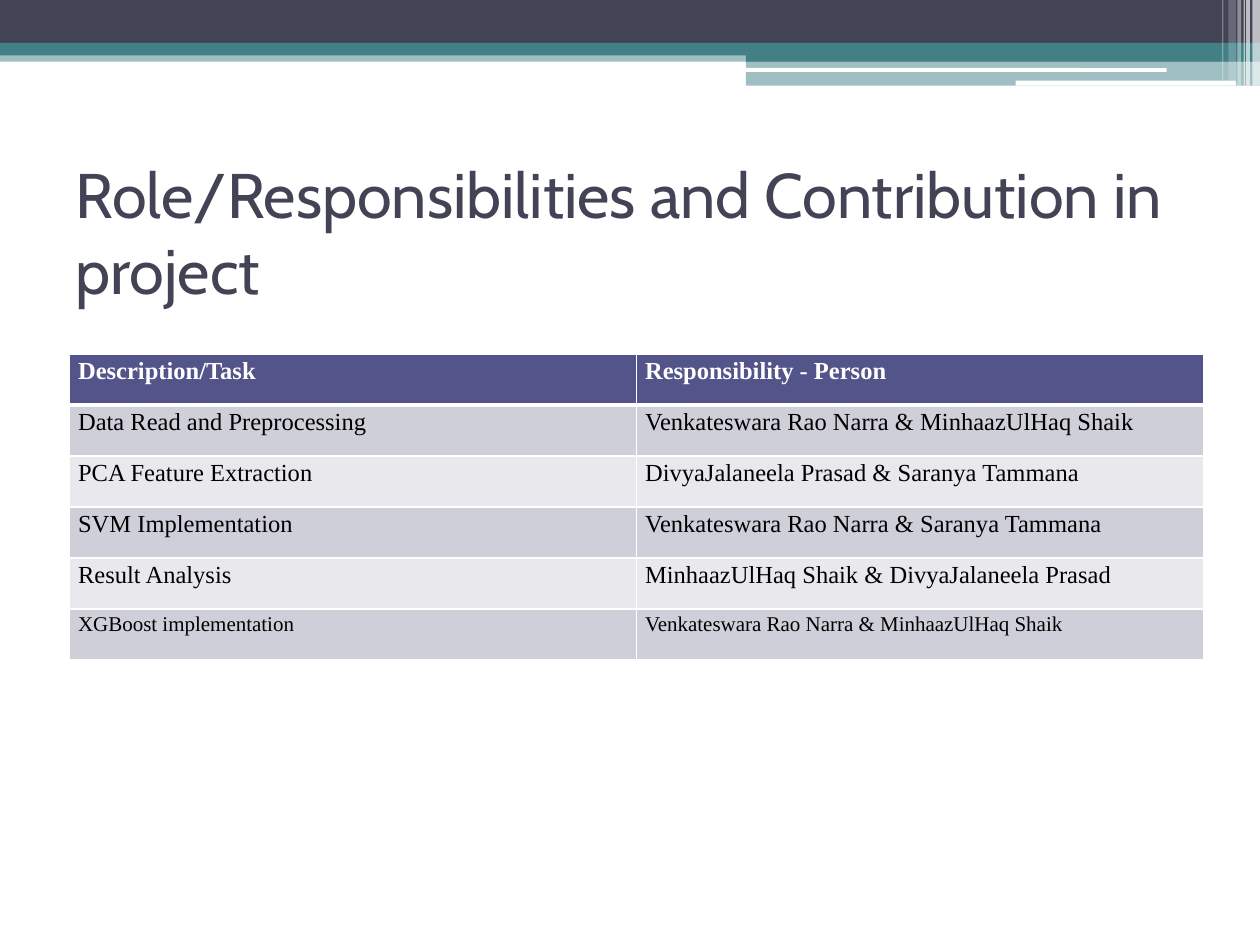
"""Build a slide listing the tasks of a project and the people responsible."""
from lxml import etree
from pptx import Presentation
from pptx.dml.color import RGBColor
from pptx.enum.shapes import MSO_SHAPE
from pptx.enum.text import MSO_ANCHOR
from pptx.oxml.ns import qn
from pptx.util import Inches, Pt

RECT = MSO_SHAPE.RECTANGLE
ROUND = MSO_SHAPE.ROUNDED_RECTANGLE
MIDDLE = MSO_ANCHOR.MIDDLE

COLORS = {
    "ink": "424456", "teal": "438086", "white": "FFFFFF", "black": "000000",
    "head": "53548A", "odd": "CFCFD9", "even": "E9E9ED",
}
TITLE = "Role/Responsibilities and Contribution in project"
ROWS = [
    ("Description/Task", "Responsibility - Person"),
    ("Data Read and Preprocessing", "Venkateswara Rao Narra & MinhaazUlHaq Shaik"),
    ("PCA Feature Extraction", "DivyaJalaneela Prasad & Saranya Tammana"),
    ("SVM Implementation", "Venkateswara Rao Narra & Saranya Tammana"),
    ("Result Analysis", "MinhaazUlHaq Shaik & DivyaJalaneela Prasad"),
    ("XGBoost implementation", "Venkateswara Rao Narra & MinhaazUlHaq Shaik"),
]
BANDS = [
    (RECT, 0, 0.4, 10, 0.09, "teal", 50),
    (RECT, 0, 0, 10, 0.34, "ink", 100),
    (RECT, 0, 0.34, 10, 0.1, "teal", 100),
    (RECT, 5.92, 0.39, 4.08, 0.1, "teal", 100),
    (RECT, 5.92, 0.48, 4.08, 0.2, "teal", 50),
    (ROUND, 5.91, 0.54, 3.35, 0.03, "white", 100),
    (ROUND, 8.06, 0.64, 1.75, 0.04, "white", 100),
]
STRIPES = [
    (9.94, 0.06, 0.68, 65), (9.89, 0.03, 0.68, 65), (9.87, 0.01, 0.68, 60),
    (9.82, 0.03, 0.68, 40), (9.75, 0.06, 0.64, 20), (9.7, 0.01, 0.64, 30),
]
TABLE = (0.55, 2.81, 9, 2.43)


def paint(fill, color):
    fill.solid()
    fill.fore_color.rgb = RGBColor.from_string(COLORS[color])


def write(frame, text, font="Times New Roman", size=14, color="black",
          bold=False, space=1.0):
    frame.word_wrap = True
    para = frame.paragraphs[0]
    para.line_spacing = space
    run = para.add_run()
    run.text = text
    run.font.name = font
    run.font.size = Pt(size)
    run.font.bold = bold
    run.font.color.rgb = RGBColor.from_string(COLORS[color])


def add_band(slide, kind, left, top, width, height, color, alpha):
    band = slide.shapes.add_shape(kind, *map(Inches, (left, top, width, height)))
    band.shadow.inherit = False
    band.line.fill.background()
    paint(band.fill, color)
    if alpha < 100:
        tint = band.fill._xPr.find(qn("a:solidFill"))[0]
        etree.SubElement(tint, qn("a:alpha"), val=str(alpha * 1000))


def add_borders(cell, widths):
    props = cell._tc.get_or_add_tcPr()
    for side, width in widths.items():
        line = etree.SubElement(props, qn("a:ln" + side), w=str(Pt(width)))
        fill = etree.SubElement(line, qn("a:solidFill"))
        etree.SubElement(fill, qn("a:srgbClr"), val=COLORS["white"])


def add_title(slide):
    box = slide.shapes.add_textbox(*map(Inches, (0.5, 1.25, 9, 1.17)))
    box.text_frame.vertical_anchor = MIDDLE
    write(box.text_frame, TITLE, font="Cabin", size=36, color="ink")


def add_tasks(slide):
    area = map(Inches, TABLE)
    table = slide.shapes.add_table(len(ROWS), len(ROWS[0]), *area).table
    last = len(ROWS) - 1
    for r, row in enumerate(ROWS):
        head = r == 0
        for c, text in enumerate(row):
            cell = table.cell(r, c)
            cell.margin_left = cell.margin_right = Inches(0.07)
            cell.margin_top = cell.margin_bottom = 0
            add_borders(cell, {"L": 1, "R": 1, "T": 3 if r == 1 else 1,
                               "B": 3 if head else 1})
            paint(cell.fill, "head" if head else "odd" if r % 2 else "even")
            write(cell.text_frame, text, size=12 if r == last else 14,
                  color="white" if head else "black", bold=head, space=1.15)


def main():
    deck = Presentation()
    deck.slide_width, deck.slide_height = Inches(10), Inches(7.5)
    slide = deck.slides.add_slide(deck.slide_layouts[6])
    for band in BANDS:
        add_band(slide, *band)
    for left, width, height, alpha in STRIPES:
        add_band(slide, RECT, left, 0, width, height, "white", alpha)
    add_title(slide)
    add_tasks(slide)
    deck.save("out.pptx")


if __name__ == "__main__":
    main()
